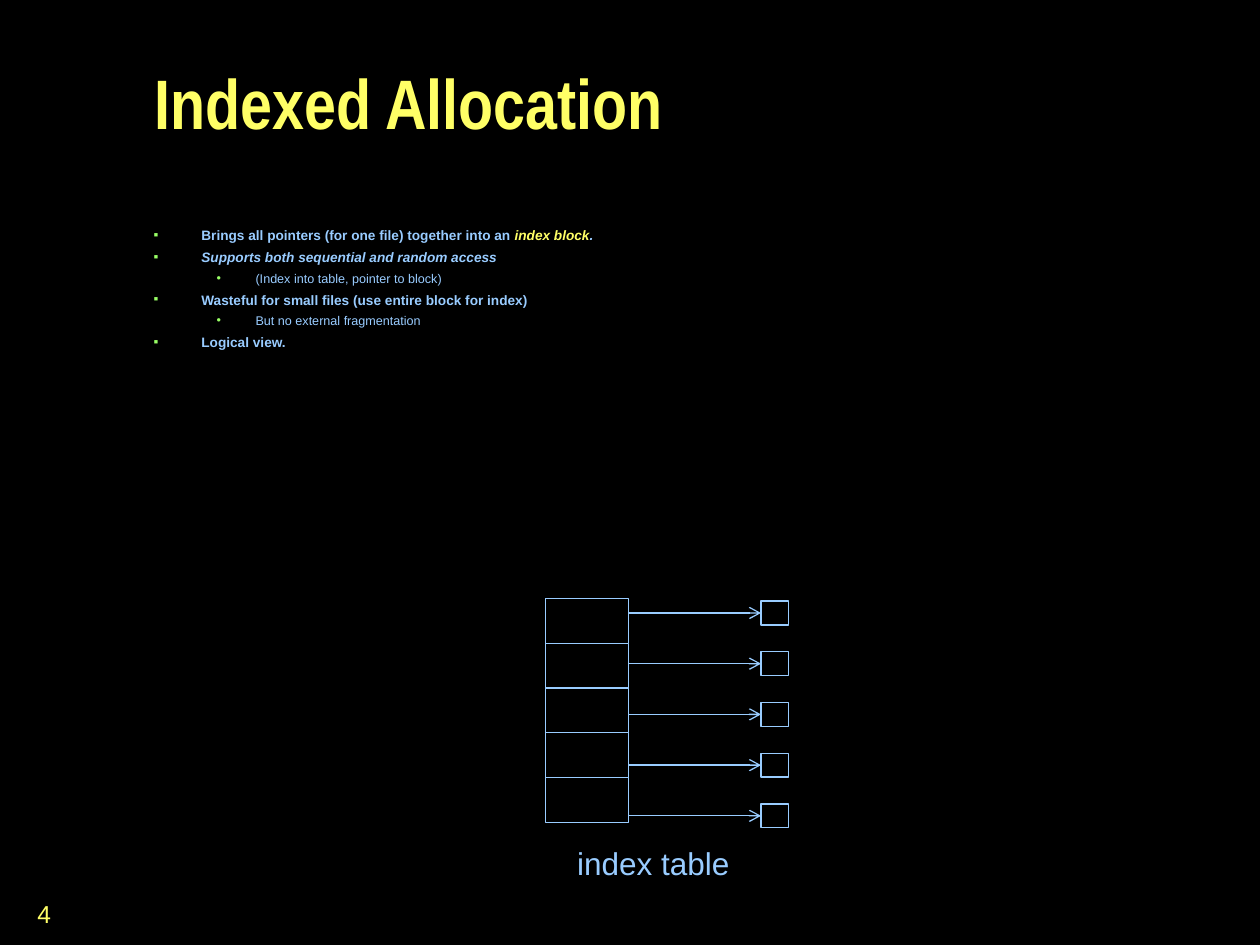
import pptx
import pptx.util
from lxml import etree
from pptx.dml.color import RGBColor
from pptx.enum.shapes import MSO_CONNECTOR, MSO_SHAPE
from pptx.enum.text import MSO_ANCHOR, PP_ALIGN
from pptx.oxml.ns import qn
from pptx.util import Inches

COLORS = {"black": "000000", "yellow": "FFFF66", "blue": "99CCFF", "green": "99FF66"}


def style(font, size, color, bold=False, italic=False, name="Arial"):
    font.size = pptx.util.Pt(size)
    font.color.rgb = RGBColor.from_string(COLORS[color])
    font.bold = bold
    font.italic = italic
    font.name = name


def add_cell(page, left, top, width, height):
    cell = page.shapes.add_shape(
        MSO_SHAPE.RECTANGLE, Inches(left), Inches(top), Inches(width), Inches(height))
    cell.shadow.inherit = False
    cell.fill.solid()
    cell.fill.fore_color.rgb = RGBColor.from_string(COLORS["black"])
    cell.line.color.rgb = RGBColor.from_string(COLORS["blue"])
    cell.line.width = pptx.util.Pt(0.75)
    return cell


deck = pptx.Presentation()
deck.slide_width = Inches(10)
deck.slide_height = Inches(7.5)
page = deck.slides.add_slide(deck.slide_layouts[5])
page.background.fill.solid()
page.background.fill.fore_color.rgb = RGBColor.from_string(COLORS["black"])

# Title
title = page.shapes.title
title.left, title.top = Inches(1.13), Inches(0.36)
title.width, title.height = Inches(8.62), Inches(1.05)
title.text_frame.text = "Indexed Allocation"
title.text_frame.vertical_anchor = MSO_ANCHOR.MIDDLE
para = title.text_frame.paragraphs[0]
para.alignment = PP_ALIGN.LEFT
para.line_spacing = 0.7
style(para.runs[0].font, 40, "yellow", bold=True, name="Arial Narrow")

# Bullets: level, then spans of text, colour and italic
bullets = [
    (0, [("Brings all pointers (for one file) together into an ", "blue", False),
         ("index block", "yellow", True), (".", "blue", True)]),
    (0, [("Supports both sequential and random access", "blue", True)]),
    (1, [("(Index into table, pointer to block)", "blue", False)]),
    (0, [("Wasteful for small files (use entire block for index)", "blue", False)]),
    (1, [("But no external fragmentation", "blue", False)]),
    (0, [("Logical view.", "blue", False)]),
]
# Per level: bullet sign, left margin, hanging indent, text size, space before
levels = [("▪", 0.38, 0.38, 7.8, 6), ("•", 0.81, 0.31, 7.2, 5.5)]

box = page.shapes.add_textbox(Inches(1.12), Inches(1.79), Inches(8.62), Inches(1.01))
box.text_frame.word_wrap = True
for index, (level, spans) in enumerate(bullets):
    sign, margin, hanging, size, space = levels[level]
    para = box.text_frame.add_paragraph() if index else box.text_frame.paragraphs[0]
    para.level = level
    properties = para._p.get_or_add_pPr()
    properties.set("marL", str(Inches(margin)))
    properties.set("indent", str(-Inches(hanging)))
    bullet_color = etree.SubElement(properties, qn("a:buClr"))
    etree.SubElement(bullet_color, qn("a:srgbClr"), val=COLORS["green"])
    etree.SubElement(properties, qn("a:buFont"), typeface="Arial")
    etree.SubElement(properties, qn("a:buChar"), char=sign)
    para.line_spacing = 0.7
    if index:
        para.space_before = pptx.util.Pt(space)
    for text, color, italic in spans:
        span = para.add_run()
        span.text = text
        style(span.font, size, color, bold=level == 0, italic=italic)

# Index table, with a level arrow from each row to its block
rows = 5
table_left, table_top, row_width, row_height = 4.33, 4.75, 0.66, 0.36
block_left, block_top, block_width, block_height = 6.04, 4.77, 0.22, 0.19
row_pitch = (6.17 - table_top) / (rows - 1)
block_pitch = (6.38 - block_top) / (rows - 1)
for row in range(rows):
    add_cell(page, table_left, table_top + row * row_pitch, row_width, row_height)
for row in range(rows):
    top = block_top + row * block_pitch
    block = add_cell(page, block_left, top, block_width, block_height)
    middle = Inches(top + block_height / 2)
    arrow = page.shapes.add_connector(
        MSO_CONNECTOR.STRAIGHT, Inches(table_left + row_width), middle,
        Inches(block_left), middle)
    arrow.end_connect(block, 1)
    arrow.line.color.rgb = RGBColor.from_string(COLORS["blue"])
    arrow.line.width = pptx.util.Pt(0.75)
    etree.SubElement(arrow.line._get_or_add_ln(), qn("a:tailEnd"), type="arrow")
    etree.SubElement(arrow._element.spPr, qn("a:effectLst"))

# Table caption and page number
labels = [
    ("index table", 4.48, 6.65, 1.41, 0.4, 18, "blue", False),
    ("4", 0, 7, 0.7, 0.5, 14, "yellow", True),
]
for text, left, top, width, height, size, color, wrap in labels:
    box = page.shapes.add_textbox(Inches(left), Inches(top), Inches(width), Inches(height))
    box.text_frame.word_wrap = wrap
    box.text_frame.vertical_anchor = MSO_ANCHOR.MIDDLE
    box.text_frame.text = text
    para = box.text_frame.paragraphs[0]
    para.alignment = PP_ALIGN.CENTER
    style(para.runs[0].font, size, color)

deck.save("out.pptx")
